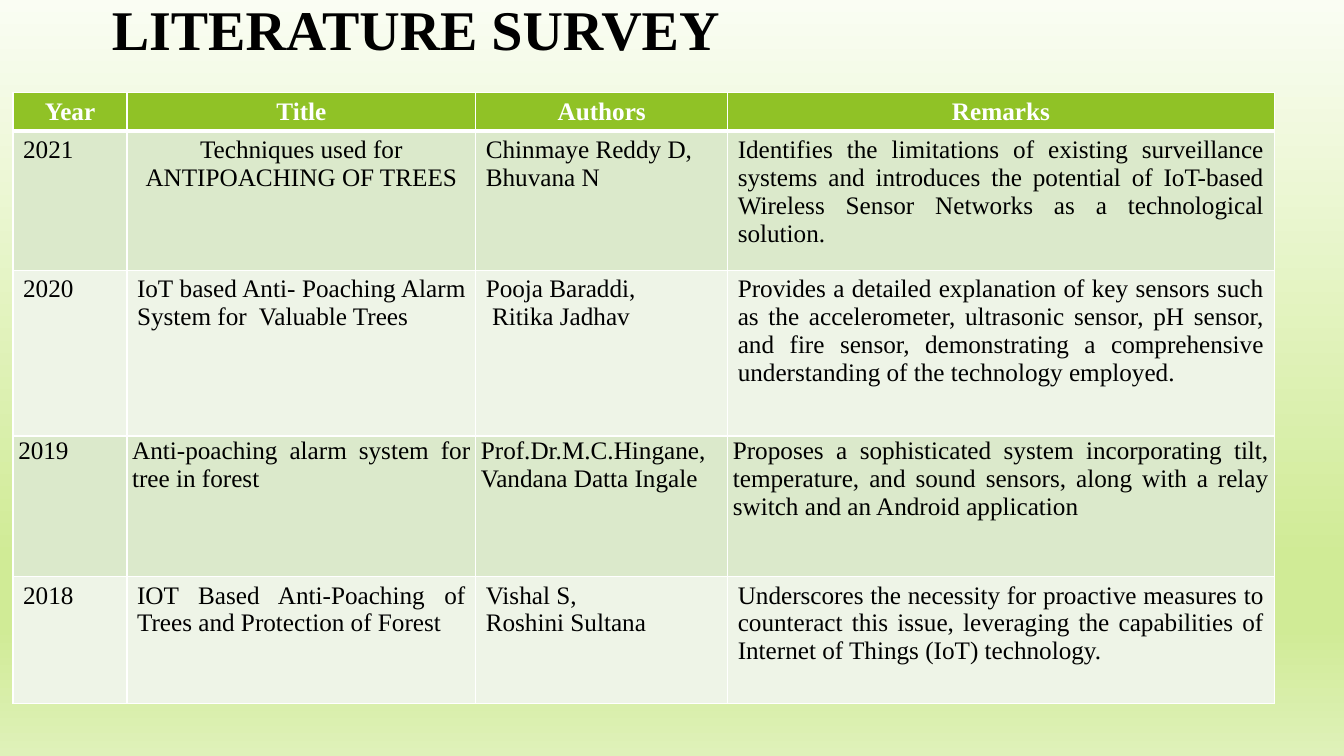
from dataclasses import dataclass

import pptx
import pptx.dml.color
import pptx.enum.text
import pptx.oxml.ns
import pptx.oxml.xmlchemy
import pptx.util

Cm = pptx.util.Cm
Pt = pptx.util.Pt
Align = pptx.enum.text.PP_ALIGN


@dataclass(frozen=True)
class Theme:
    font: str = "Times New Roman"
    title_size: int = 40
    table_size: int = 18
    ink: str = "000000"
    white: str = "FFFFFF"
    header: str = "90C226"
    bands: tuple = ("DBE9CB", "EEF4E7")
    backdrop: tuple = ((0, "FAFDF3"), (74, "D0EB96"), (83, "D0EB96"), (100, "DFF1B9"))
    thin: int = 1
    thick: int = 3


HEADINGS = ("Year", "Title", "Authors", "Remarks")
SURVEY = (
    ("2021", "Techniques used for ANTIPOACHING OF TREES",
     "Chinmaye Reddy D,\nBhuvana N",
     "Identifies the limitations of existing surveillance systems and introduces the "
     "potential of IoT-based Wireless Sensor Networks as a technological solution."),
    ("2020", "IoT based Anti- Poaching Alarm System for  Valuable Trees",
     "Pooja Baraddi,\n Ritika Jadhav",
     "Provides a detailed explanation of key sensors such as the accelerometer, ultrasonic "
     "sensor, pH sensor, and fire sensor, demonstrating a comprehensive understanding of "
     "the technology employed."),
    ("2019", "Anti-poaching alarm system for tree in forest",
     "Prof.Dr.M.C.Hingane, Vandana Datta Ingale",
     "Proposes a sophisticated system incorporating tilt, temperature, and sound sensors, "
     "along with a relay switch and an Android application"),
    ("2018", "IOT Based Anti-Poaching of Trees and Protection of Forest",
     "Vishal S,\nRoshini Sultana",
     "Underscores the necessity for proactive measures to counteract this issue, leveraging "
     "the capabilities of Internet of Things (IoT) technology."),
)
COLUMN_WIDTHS = (2.87, 8.79, 6.35, 13.77)
ROW_HEIGHTS = (0.94, 3.51, 4.18, 3.54, 3.2)
CENTRED_CELLS = {(1, 1)}
TIGHT_ROW = 3


def element(tag, *children, **attributes):
    """Return an XML element with its attributes and children."""
    node = pptx.oxml.xmlchemy.OxmlElement(tag)
    for key, value in attributes.items():
        node.set(key, str(value))
    node.extend(children)
    return node


def write_text(frame, text, *, font, size, color, bold=False, align=Align.JUSTIFY):
    """Fill a text frame with one formatted paragraph per line of text."""
    for number, line in enumerate(text.split("\n")):
        paragraph = frame.add_paragraph() if number else frame.paragraphs[0]
        paragraph.alignment = align
        run = paragraph.add_run()
        run.text = line
        run.font.name = font
        run.font.size = Pt(size)
        run.font.bold = bold
        run.font.color.rgb = pptx.dml.color.RGBColor.from_string(color)


class SurveySlide:
    """Draw the parts of the survey on one slide in one theme."""

    def __init__(self, slide, theme):
        """Keep the slide and its theme."""
        self.slide = slide
        self.theme = theme

    def backdrop(self):
        """Shade the background from top to bottom."""
        fill = self.slide.background.fill
        fill.gradient()
        fill.gradient_angle = 270
        stops = next(self.slide.element.iter(pptx.oxml.ns.qn("a:gsLst")))
        stops.clear()
        for percent, color in self.theme.backdrop:
            stops.append(element("a:gs", element("a:srgbClr", val=color), pos=percent * 1000))

    def title(self, text, left, top, width, height):
        """Place the heading in a box that does not wrap."""
        box = self.slide.shapes.add_textbox(Cm(left), Cm(top), Cm(width), Cm(height))
        frame = box.text_frame
        frame.word_wrap = False
        frame.auto_size = pptx.enum.text.MSO_AUTO_SIZE.SHAPE_TO_FIT_TEXT
        frame.margin_left = frame.margin_right = Cm(0.13)
        frame.margin_top = frame.margin_bottom = Cm(0.13)
        write_text(frame, text, font=self.theme.font, size=self.theme.title_size,
                   color=self.theme.ink, bold=True, align=Align.CENTER)

    def borders(self, cell, top, bottom):
        """Rule the four sides of a cell in white."""
        thin = self.theme.thin
        properties = cell._tc.get_or_add_tcPr()
        for side, weight in (("L", thin), ("R", thin), ("T", top), ("B", bottom)):
            paint = element("a:solidFill", element("a:srgbClr", val=self.theme.white))
            properties.append(element(f"a:ln{side}", paint, w=int(Pt(weight))))

    def cell(self, cell, text, row, column):
        """Style and fill one cell of the survey."""
        theme = self.theme
        is_header = row == 0
        self.borders(cell, theme.thick if row == 1 else theme.thin,
                     theme.thick if is_header else theme.thin)
        cell.fill.solid()
        cell.fill.fore_color.rgb = pptx.dml.color.RGBColor.from_string(
            theme.header if is_header else theme.bands[(row - 1) % 2])
        if row == TIGHT_ROW:
            cell.margin_left = cell.margin_right = Cm(0.13)
            cell.margin_top = cell.margin_bottom = Cm(0.03)
        centred = is_header or (row, column) in CENTRED_CELLS
        write_text(cell.text_frame, text, font=theme.font, size=theme.table_size,
                   color=theme.white if is_header else theme.ink, bold=is_header,
                   align=Align.CENTER if centred else Align.JUSTIFY)

    def survey(self, rows, left, top):
        """Lay out the survey table."""
        table = self.slide.shapes.add_table(
            len(rows), len(COLUMN_WIDTHS), Cm(left), Cm(top),
            Cm(sum(COLUMN_WIDTHS)), Cm(sum(ROW_HEIGHTS))).table
        for column, width in zip(table.columns, COLUMN_WIDTHS):
            column.width = Cm(width)
        for row, height in zip(table.rows, ROW_HEIGHTS):
            row.height = Cm(height)
        for row, entries in enumerate(rows):
            for column, text in enumerate(entries):
                self.cell(table.cell(row, column), text, row, column)


def main():
    """Build and save the presentation."""
    deck = pptx.Presentation()
    deck.slide_width, deck.slide_height = Cm(33.87), Cm(19.05)
    page = SurveySlide(deck.slides.add_slide(deck.slide_layouts[6]), Theme())
    page.backdrop()
    page.survey((HEADINGS, *SURVEY), 0.33, 2.34)
    page.title("LITERATURE SURVEY", 2.67, -0.28, 15.62, 1.85)
    deck.save("out.pptx")


if __name__ == "__main__":
    main()
